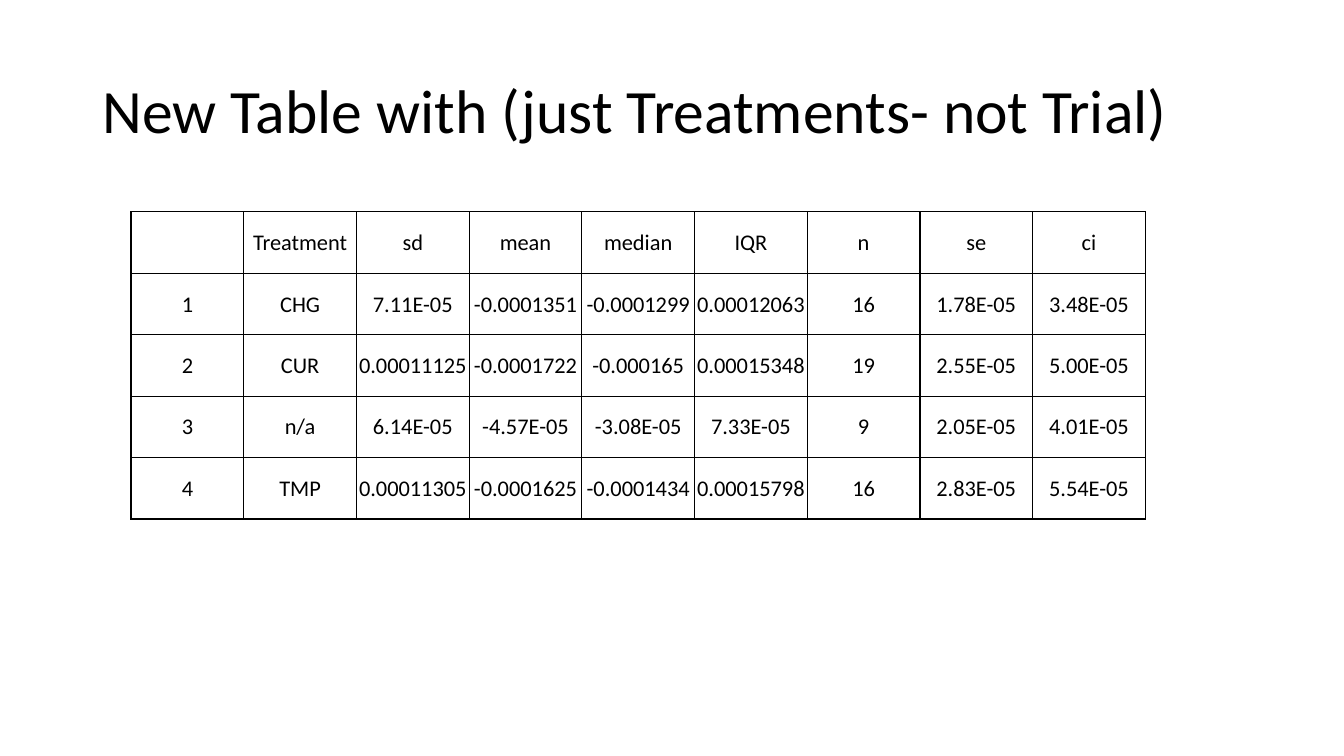
"""Build a slide with a summary table of treatment statistics."""
import dataclasses

import lxml.etree
import pptx
import pptx.dml.color
import pptx.enum.text
import pptx.oxml.ns
import pptx.util

Inches = pptx.util.Inches
STATISTICS = [
    ["", "Treatment", "sd", "mean", "median", "IQR", "n", "se", "ci"],
    ["1", "CHG", "7.11E-05", "-0.0001351", "-0.0001299", "0.00012063", "16", "1.78E-05", "3.48E-05"],
    ["2", "CUR", "0.00011125", "-0.0001722", "-0.000165", "0.00015348", "19", "2.55E-05", "5.00E-05"],
    ["3", "n/a", "6.14E-05", "-4.57E-05", "-3.08E-05", "7.33E-05", "9", "2.05E-05", "4.01E-05"],
    ["4", "TMP", "0.00011305", "-0.0001625", "-0.0001434", "0.00015798", "16", "2.83E-05", "5.54E-05"],
]


@dataclasses.dataclass(frozen=True)
class Theme:
    """Hold the colours, font and type sizes."""
    font: str = "Calibri"
    ink: str = "000000"
    paper: str = "FFFFFF"
    title_size: int = 44
    cell_size: int = 16
    border_width: int = 1


class SlideBuilder:
    """Draw styled elements on one slide."""

    def __init__(self, slide, theme):
        """Keep the slide and its theme."""
        self.slide = slide
        self.theme = theme
        background = slide.background.fill
        background.solid()
        background.fore_color.rgb = pptx.dml.color.RGBColor.from_string(theme.paper)

    def style(self, paragraph, size):
        """Apply the theme font to a paragraph."""
        for font in [paragraph.font] + [run.font for run in paragraph.runs]:
            font.name = self.theme.font
            font.size = pptx.util.Pt(size)
            font.bold = False
            font.color.rgb = pptx.dml.color.RGBColor.from_string(self.theme.ink)

    def title(self, wording, left, top, width, height):
        """Add the slide title."""
        heading = self.slide.shapes.add_textbox(
            Inches(left), Inches(top), Inches(width), Inches(height)).text_frame
        heading.word_wrap = True
        heading.vertical_anchor = pptx.enum.text.MSO_ANCHOR.MIDDLE
        heading.text = wording
        heading.paragraphs[0].line_spacing = 0.9
        self.style(heading.paragraphs[0], self.theme.title_size)

    def borders(self, cell):
        """Rule all four sides of a cell."""
        properties = cell._tc.get_or_add_tcPr()
        qn = pptx.oxml.ns.qn
        for side in ("a:lnL", "a:lnR", "a:lnT", "a:lnB"):
            line = lxml.etree.SubElement(
                properties, qn(side), w=str(pptx.util.Pt(self.theme.border_width)))
            fill = lxml.etree.SubElement(line, qn("a:solidFill"))
            lxml.etree.SubElement(fill, qn("a:srgbClr"), val=self.theme.ink)

    def table(self, rows, left, top, width, height):
        """Add an evenly spaced, ruled table."""
        grid = self.slide.shapes.add_table(
            len(rows), len(rows[0]),
            Inches(left), Inches(top), Inches(width), Inches(height)).table
        grid.first_row = False
        grid.horz_banding = False
        for row_index, row in enumerate(rows):
            for column_index, wording in enumerate(row):
                cell = grid.cell(row_index, column_index)
                cell.margin_left = cell.margin_right = cell.margin_top = Inches(0.01)
                cell.margin_bottom = 0
                cell.vertical_anchor = pptx.enum.text.MSO_ANCHOR.MIDDLE
                self.borders(cell)
                cell.fill.background()
                paragraph = cell.text_frame.paragraphs[0]
                paragraph.text = wording
                paragraph.alignment = pptx.enum.text.PP_ALIGN.CENTER
                self.style(paragraph, self.theme.cell_size)


def main():
    """Build and save the presentation."""
    presentation = pptx.Presentation()
    presentation.slide_width = Inches(13.33)
    presentation.slide_height = Inches(7.5)
    slide = presentation.slides.add_slide(presentation.slide_layouts[6])
    builder = SlideBuilder(slide, Theme())
    builder.title("New Table with (just Treatments- not Trial)", 0.92, 0.4, 11.5, 1.45)
    builder.table(STATISTICS, 1.3, 2.1, 10.06, 3.05)
    presentation.save("out.pptx")


if __name__ == "__main__":
    main()
